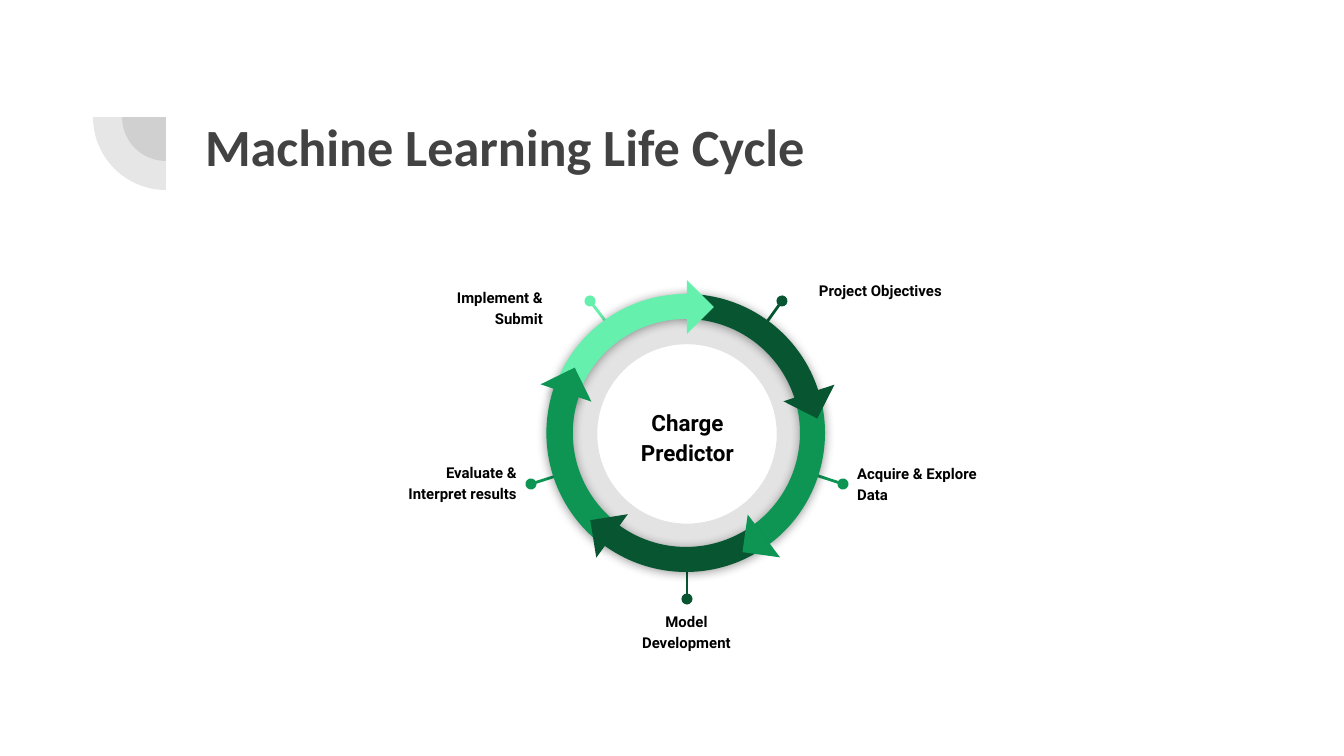
from lxml import etree
from pptx import Presentation
from pptx import util as u
from pptx.dml.color import RGBColor
from pptx.enum import shapes, text
from pptx.oxml import parse_xml
from pptx.oxml.ns import qn

COLORS = {"ink": "000000", "center": "020202", "title": "424242",
          "dark": "085631", "mid": "0E9453", "light": "65F0AD"}
NS = 'xmlns:a="http://schemas.openxmlformats.org/drawingml/2006/main"'
SHADOW = (f'<a:effectLst {NS}><a:outerShdw blurRad="71120" dist="10160" dir="5400000" '
          'algn="ctr" rotWithShape="0"><a:srgbClr val="000000"><a:alpha val="40000"/>'
          '</a:srgbClr></a:outerShdw></a:effectLst>')
KIND = shapes.MSO_SHAPE
ALIGN = text.PP_ALIGN
ANCHOR = text.MSO_ANCHOR


class Deck:
    """Style, scale and current slide."""
    INSET = 13

    def __init__(self, width, height):
        self.prs = Presentation()
        self.prs.slide_width, self.prs.slide_height = self.px(width), self.px(height)
        self.s = self.prs.slides.add_slide(self.prs.slide_layouts[5])

    def px(self, n):
        return round(n * 914400 / 134.4)

    def rgb(self, name):
        return RGBColor.from_string(COLORS[name])

    def set_text(self, sp, words, size, font, color, align, anchor, spacing):
        tf = sp.text_frame
        tf.word_wrap, tf.auto_size = True, text.MSO_AUTO_SIZE.NONE
        tf.vertical_anchor = anchor
        tf.margin_left = tf.margin_right = self.px(self.INSET)
        tf.margin_top = tf.margin_bottom = self.px(self.INSET)
        p = tf.paragraphs[0]
        p.alignment, p.line_spacing = align, spacing
        r = p.add_run()
        r.text = words
        r.font.size, r.font.name, r.font.bold = u.Pt(size), font, True
        r.font.color.rgb = self.rgb(color)

    def title(self, words, *box):
        sp = self.s.shapes.title
        sp.left, sp.top, sp.width, sp.height = map(self.px, box)
        self.set_text(sp, words, 28, "Calibri", "title", ALIGN.LEFT, ANCHOR.TOP, 1.0)

    def label(self, words, box, align, size=8, color="ink", anchor=ANCHOR.TOP):
        sp = self.s.shapes.add_textbox(*map(self.px, box))
        self.set_text(sp, words, size, "Roboto", color, align, anchor, 1.15)

    def shape(self, kind, box, color, adj=(), rot=0, flip=False, alpha=None,
              shadow=False, outline=False):
        sp = self.s.shapes.add_shape(kind, *map(self.px, box))
        sp.fill.solid()
        sp.fill.fore_color.rgb = self.rgb(color)
        if outline:
            sp.line.color.rgb, sp.line.width = self.rgb(color), u.Pt(0.75)
        else:
            sp.line.fill.background()
        sp.rotation = rot
        for i, value in enumerate(adj):
            sp.adjustments[i] = value
        spPr = sp._element.spPr
        if flip:
            spPr.find(qn("a:xfrm")).set("flipH", "1")
        if alpha:
            clr = spPr.find(qn("a:solidFill"))[0]
            etree.SubElement(clr, qn("a:alpha")).set("val", str(alpha * 1000))
        if shadow:
            spPr.append(parse_xml(SHADOW))
        else:
            sp.shadow.inherit = False

    def pin(self, start, end, color):
        c = self.s.shapes.add_connector(shapes.MSO_CONNECTOR.STRAIGHT,
                                        *map(self.px, start + end))
        c.line.color.rgb, c.line.width = self.rgb(color), u.Pt(1.5)
        spPr = c._element.spPr
        etree.SubElement(spPr.find(qn("a:ln")), qn("a:headEnd")).set("type", "oval")
        etree.SubElement(spPr, qn("a:effectLst"))

    def arc(self, color, rot, adj, flip=False, outline=False):
        self.shape(KIND.BLOCK_ARC, (547, 294, 278, 278), color, adj, rot, flip,
                   shadow=True, outline=outline)

    def arrowhead(self, color, left, top, rot):
        self.shape(KIND.RIGHT_TRIANGLE, (left, top, 38, 38), color, rot=rot)


deck = Deck(1344, 756)

# Title with quarter-circle ornament
deck.title("Machine Learning Life Cycle", 192, 101, 1034, 146)
for size in (88, 146):
    deck.shape(KIND.PIE, (166 - size // 2, 117 - size // 2, size, size), "title",
               (108, 162), 270, alpha=13)

# Grey inner ring
deck.shape(KIND.DONUT, (555, 302, 264, 264), "ink", (0.16,), alpha=11)

# Stage labels with their pins
stages = [
    ("Project Objectives", (806, 266), ALIGN.LEFT, (782, 301), (754, 340), "dark"),
    ("Implement & Submit", (401, 273), ALIGN.RIGHT, (590, 301), (620, 340), "light"),
    ("Acquire & Explore Data", (844, 449), ALIGN.LEFT, (843, 484), (797, 469), "mid"),
    ("Evaluate & Interpret results", (375, 448), ALIGN.RIGHT, (531, 484), (578, 469), "mid"),
    ("Model Development", (609, 597), ALIGN.CENTER, (687, 599), (687, 548), "dark"),
]
for words, corner, align, start, end, color in stages:
    deck.pin(start, end, color)
    deck.label(words, corner + (155, 70), align)

# Cycle arcs and arrowheads, stacked so that each head covers the next arc
deck.arc("dark", 30, (144.14, 189.99, 0.09))
deck.arc("mid", 210, (201.79, 26.24, 0.09), flip=True)
deck.label("Charge Predictor", (613, 394, 149, 83), ALIGN.CENTER, 12, "center", ANCHOR.MIDDLE)
deck.arrowhead("dark", 790, 374, 297)
deck.arc("light", 330, (143.34, 188.55, 0.09), flip=True)
deck.arc("mid", 150, (201.85, 30.07, 0.09), outline=True)
deck.arc("dark", 210, (157.39, 200.08, 0.09), flip=True)
for color, left, top, rot in [("mid", 547, 374, 153.9), ("mid", 745, 517, 7.9),
                              ("dark", 593, 517, 81), ("light", 668, 288, 225)]:
    deck.arrowhead(color, left, top, rot)

deck.prs.save("out.pptx")
